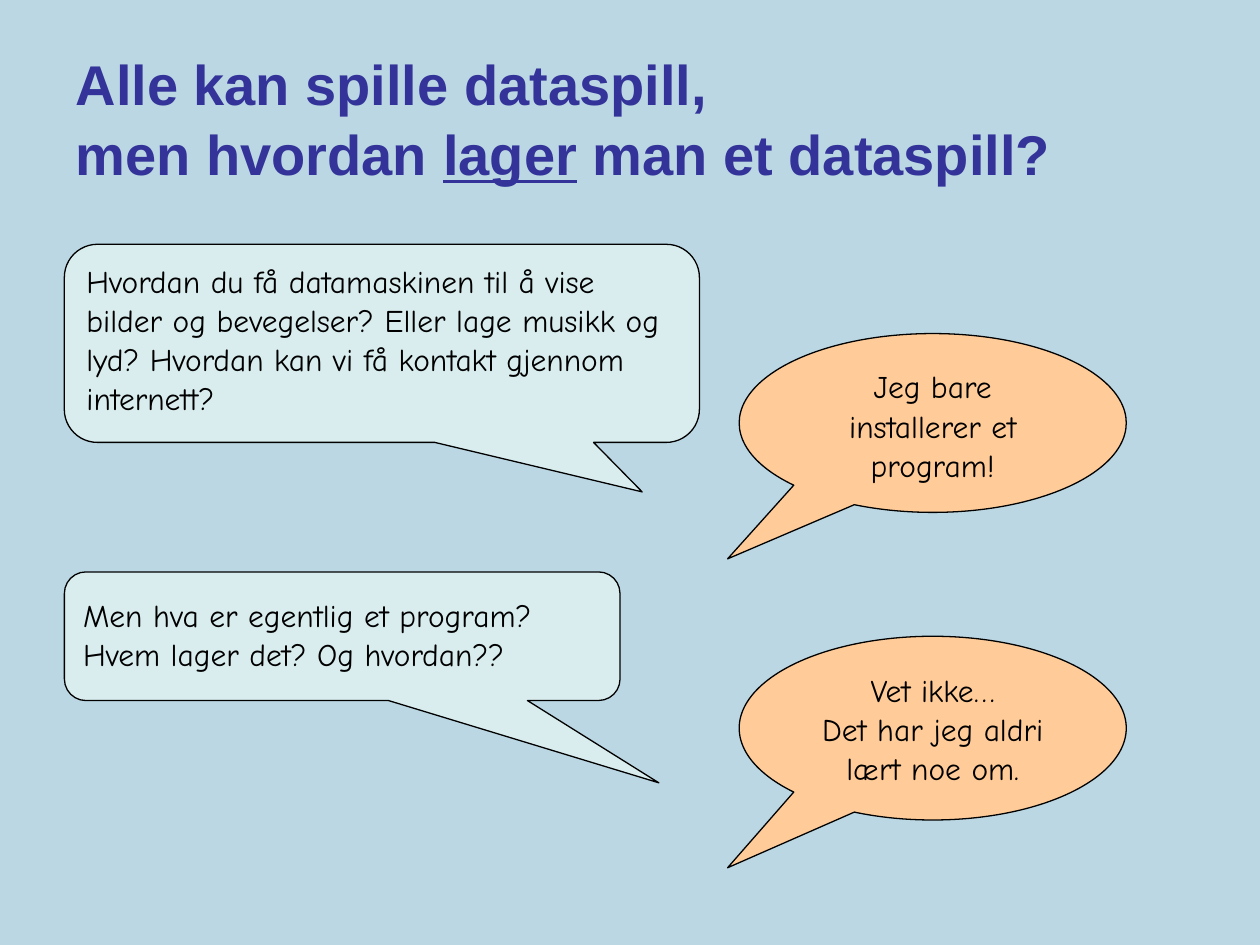
from copy import deepcopy
from dataclasses import dataclass

from pptx import Presentation
from pptx import util as u
from pptx.dml.color import RGBColor
from pptx.enum import shapes, text
from pptx.oxml import ns


@dataclass
class Theme:
    back: str = "BBD7E3"
    head: str = "333399"
    ink: str = "000000"
    ask: str = "D9EDEF"
    reply: str = "FFCC99"
    sans: str = "Arial"
    comic: str = "Comic Neue"
    big: float = 32
    body: float = 18
    line: float = 0.75
    lead: float = 1.04


class Deck:
    def __init__(self, theme):
        self.theme = theme
        self.file = Presentation()
        self.file.slide_width, self.file.slide_height = u.Pt(720), u.Pt(540)
        self.slide = self.file.slides.add_slide(self.file.slide_layouts[5])
        self.paint(self.slide.background.fill, theme.back)

    def paint(self, fill, color):
        fill.solid()
        fill.fore_color.rgb = RGBColor.from_string(color)

    def style(self, para, font, size, color, align, bold=False):
        para.alignment = align
        para.line_spacing = self.theme.lead
        for run in para.runs:
            run.font.name, run.font.size, run.font.bold = font, u.Pt(size), bold
            run.font.color.rgb = RGBColor.from_string(color)
        for brk in para._p.findall(ns.qn("a:br")):
            brk.append(deepcopy(para.runs[0]._r.rPr))

    def title(self, box, start, mark, end):
        t = self.theme
        shape = self.slide.shapes.title
        shape.left, shape.top, shape.width, shape.height = map(u.Pt, box)
        frame = shape.text_frame
        frame.auto_size = text.MSO_AUTO_SIZE.NONE
        frame.vertical_anchor = text.MSO_ANCHOR.MIDDLE
        para = frame.paragraphs[0]
        para.text = start
        for words in (mark, end):
            para.add_run().text = words
        self.style(para, t.sans, t.big, t.head, text.PP_ALIGN.LEFT, True)
        para.runs[-2].font.underline = True

    def bubble(self, kind, box, tail, fill, align, words, inset=3.6):
        t = self.theme
        shape = self.slide.shapes.add_shape(kind, *map(u.Pt, box))
        shape.shadow.inherit = False
        self.paint(shape.fill, fill)
        self.paint(shape.line.fill, t.ink)
        shape.line.width = u.Pt(t.line)
        for i, value in enumerate(tail):
            shape.adjustments[i] = value
        frame = shape.text_frame
        frame.word_wrap = True
        frame.vertical_anchor = text.MSO_ANCHOR.TOP
        frame.margin_left = frame.margin_right = u.Pt(7.2)
        frame.margin_top, frame.margin_bottom = u.Pt(inset), u.Pt(3.6)
        frame.text = words
        for para in frame.paragraphs:
            self.style(para, t.comic, t.body, t.ink, align)

    def ask(self, top, width, height, tail, words, inset=3.6):
        self.bubble(shapes.MSO_SHAPE.ROUNDED_RECTANGULAR_CALLOUT,
                    (36.8, top, width, height), tail, self.theme.ask,
                    text.PP_ALIGN.LEFT, words, inset)

    def reply(self, top, height, words):
        self.bubble(shapes.MSO_SHAPE.OVAL_CALLOUT,
                    (422.4, top, 221.2, height), (-0.53, 0.76),
                    self.theme.reply, text.PP_ALIGN.CENTER, words)


def main():
    deck = Deck(Theme())
    deck.title((36, 21.6, 648, 90),
               "Alle kan spille dataspill,\vmen hvordan ", "lager",
               " man et dataspill?")
    deck.ask(139.6, 362.9, 113.2, (0.41, 0.75),
             "Hvordan du få datamaskinen til å vise bilder og bevegelser? "
             "Eller lage musikk og lyd? Hvordan kan vi få kontakt gjennom "
             "internett?")
    deck.reply(190.6, 102.2, "Jeg bare installerer et program!")
    deck.ask(326.8, 317.5, 73.5, (0.57, 1.14),
             "Men hva er egentlig et program?\vHvem lager det? Og hvordan??",
             9.4)
    deck.reply(363.6, 105, "Vet ikke…\nDet har jeg aldri lært noe om.")
    deck.file.save("out.pptx")


if __name__ == "__main__":
    main()
